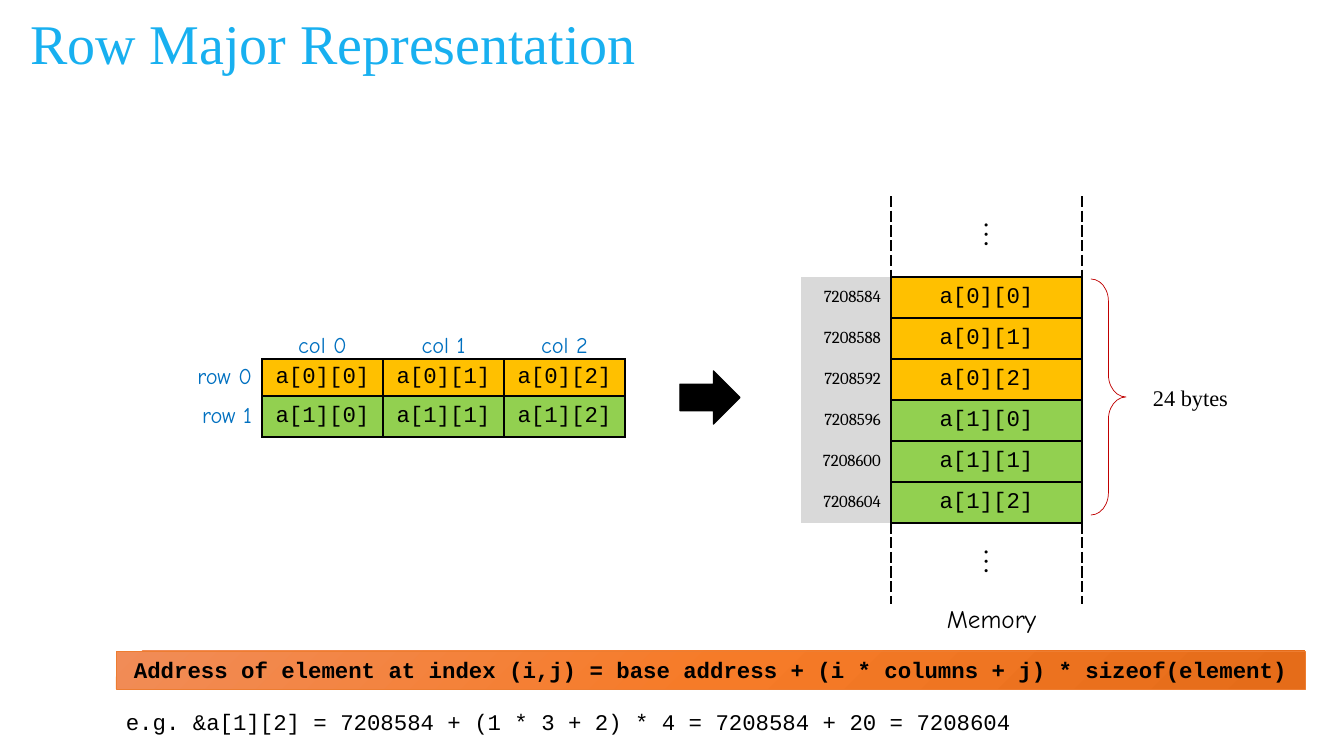
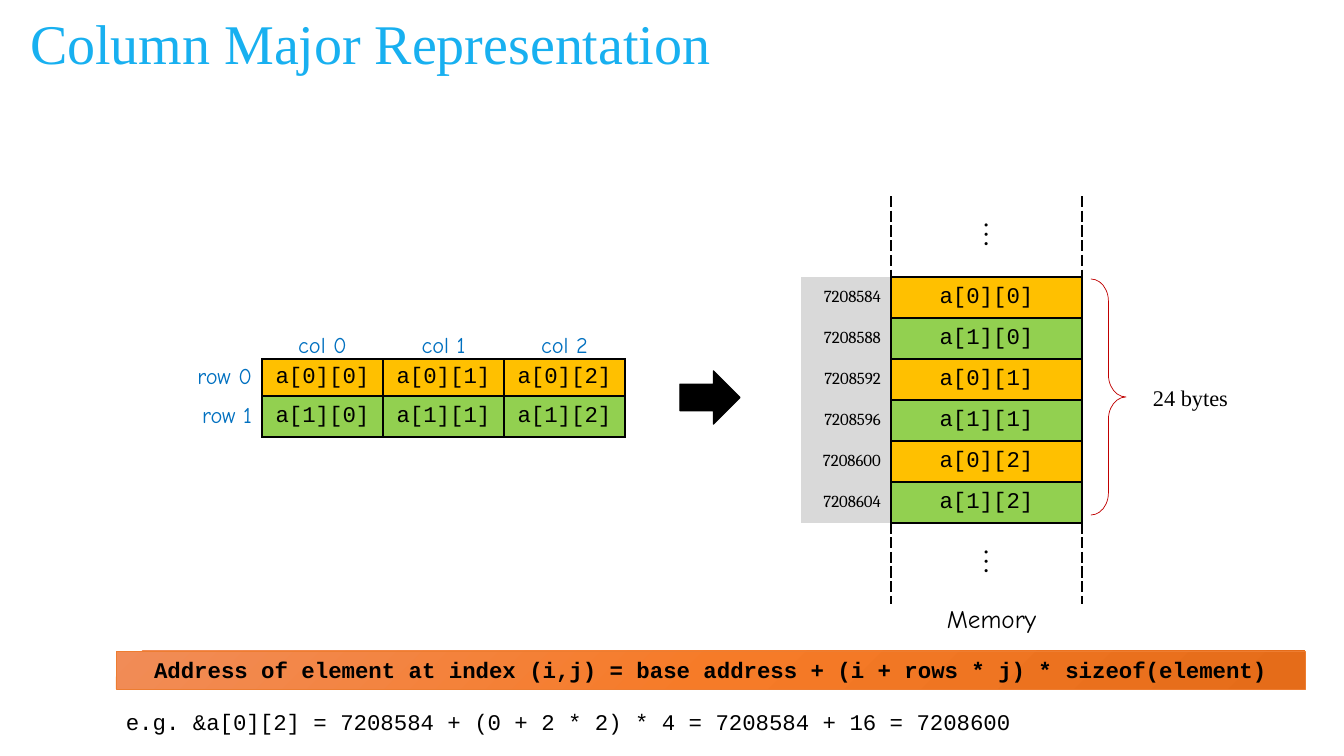
from copy import deepcopy
from dataclasses import dataclass, field

from lxml import etree
from pptx import Presentation
from pptx.dml.color import RGBColor
from pptx.enum.shapes import MSO_SHAPE
from pptx.enum.text import MSO_ANCHOR, MSO_AUTO_SIZE, PP_ALIGN
from pptx.oxml.ns import qn
from pptx.util import Pt

LEFT, MID, RIGHT = PP_ALIGN.LEFT, PP_ALIGN.CENTER, PP_ALIGN.RIGHT
CENTRE, LOW = MSO_ANCHOR.MIDDLE, MSO_ANCHOR.BOTTOM
FIT, FIXED = MSO_AUTO_SIZE.SHAPE_TO_FIT_TEXT, MSO_AUTO_SIZE.NONE
RECT, ARROW, BRACE = MSO_SHAPE.RECTANGLE, MSO_SHAPE.RIGHT_ARROW, MSO_SHAPE.RIGHT_BRACE

ROWS, COLS = 2, 3
BASE, BYTES = 7208584, 4
CELLS = [(i, j) for i in range(ROWS) for j in range(COLS)]

SLIDES = [
    {
        "title": "Row Major Representation",
        "order": CELLS,
        "rule": "Address of element at index (i,j) = base address + (i * columns + j) * sizeof(element)",
        "case": "e.g. &a[1][2] = 7208584 + (1 * 3 + 2) * 4 = 7208584 + 20 = 7208604",
    },
    {
        "title": "Column Major Representation",
        "order": sorted(CELLS, key=lambda cell: cell[1]),
        "rule": "Address of element at index (i,j) = base address + (i + rows * j) * sizeof(element)",
        "case": "e.g. &a[0][2] = 7208584 + (0 + 2 * 2) * 4 = 7208584 + 16 = 7208600",
    },
]

PAGE = (1344, 756)
SPOTS = {
    "title": (20, 13, 1105, 66),
    "memory": (801, 196, 281, 408),
    "array": (141, 322, 484, 115),
    "name": (937, 598, 110, 40),
    "brace": (1091, 279, 35, 236),
    "size": (1143, 379, 100, 37),
    "arrow": (680, 371, 60, 53),
    "rule": (116, 651, 1189, 38),
    "case": (116, 703, 918, 37),
}
MEMORY = {"wide": [90, 191], "high": [81] + [41] * len(CELLS) + [81]}
ARRAY = {"wide": [121] * (COLS + 1), "high": [37, 37, 41]}

PLAIN = "{2D5ABB26-0587-4C30-8999-92F81FD0307C}"
DASHED = {"L": "dash", "R": "dash"}
BOX = dict.fromkeys("LRTB", "solid")


@dataclass
class Theme:
    black: str = "000000"
    grey: str = "D9D9D9"
    red: str = "C00000"
    edge: str = "ED7D31"
    bands: tuple = ("FFC000", "92D050")
    blend: tuple = ((0, "F18C57"), (0.5, "F67B28"), (1, "E56C19"))
    text: dict = field(default_factory=lambda: {
        "title": ("Times New Roman", 40, "18B0F0", False),
        "label": ("Comic Neue", 16, "0070C0", False),
        "name": ("Comic Neue", 18, "000000", False),
        "code": ("Courier New", 16, "000000", False),
        "rule": ("Courier New", 16, "000000", True),
        "size": ("Times New Roman", 16, "000000", False),
        "place": ("Cambria", 12, "000000", False),
        "dots": ("Cambria", 20, "000000", False),
    })


THEME = Theme()


def px(count):
    return round(count * 12192000 / PAGE[0])


def area(name):
    return [px(count) for count in SPOTS[name]]


def tint(code):
    return RGBColor.from_string(code)


def apply(item, **values):
    for key, value in values.items():
        setattr(item, key, value)


def write(frame, text, style, align=LEFT):
    face, size, hue, bold = THEME.text[style]
    para = frame.paragraphs[0]
    para.alignment = align
    run = para.add_run()
    run.text = text
    apply(run.font, name=face, size=Pt(size), bold=bold)
    run.font.color.rgb = tint(hue)
    return para


def note(slide, spot, text, style, wrap):
    frame = slide.shapes.add_textbox(*area(spot)).text_frame
    apply(frame, word_wrap=wrap, auto_size=FIT)
    write(frame, text, style)


def draw(slide, kind, spot, line, width, fill=None):
    shape = slide.shapes.add_shape(kind, *area(spot))
    shape.shadow.inherit = False
    shape.line.color.rgb = tint(line)
    shape.line.width = Pt(width)
    if fill:
        shape.fill.solid()
        shape.fill.fore_color.rgb = tint(fill)
    else:
        shape.fill.background()
    return shape


def border(cell, sides):
    props = cell._tc.get_or_add_tcPr()
    for side in "LRTB":
        line = etree.SubElement(props, qn(f"a:ln{side}"), w=str(Pt(1)))
        if side not in sides:
            etree.SubElement(line, qn("a:noFill"))
            continue
        fill = etree.SubElement(line, qn("a:solidFill"))
        etree.SubElement(fill, qn("a:srgbClr"), val=THEME.black)
        etree.SubElement(line, qn("a:prstDash"), val=sides[side])


def fill_cell(cell, sides, text="", style="code", align=MID, fill=None):
    border(cell, sides)
    cell.vertical_anchor = CENTRE
    if fill:
        cell.fill.solid()
        cell.fill.fore_color.rgb = tint(fill)
    else:
        cell.fill.background()
    if text:
        write(cell.text_frame, text, style, align)


def grid(slide, spot, plan):
    wide, high = plan["wide"], plan["high"]
    table = slide.shapes.add_table(len(high), len(wide), *area(spot)).table
    apply(table, first_row=False, horz_banding=False)
    table._tbl.tblPr.find(qn("a:tableStyleId")).text = PLAIN
    for col, count in zip(table.columns, wide):
        col.width = px(count)
    for row, count in zip(table.rows, high):
        row.height = px(count)
    return table


def entry(cell, i, j):
    fill_cell(cell, BOX, f"a[{i}][{j}]", fill=THEME.bands[i])


def add_memory(slide, order):
    table = grid(slide, "memory", MEMORY)
    for row, side in ((0, "B"), (len(order) + 1, "T")):
        fill_cell(table.cell(row, 0), {"R": "dash"})
        fill_cell(table.cell(row, 1), {**DASHED, side: "solid"}, "⋮", "dots")
    for k, (i, j) in enumerate(order):
        fill_cell(table.cell(k + 1, 0), {"R": "solid"}, str(BASE + BYTES * k),
                  "place", RIGHT, THEME.grey)
        entry(table.cell(k + 1, 1), i, j)


def add_array(slide):
    table = grid(slide, "array", ARRAY)
    for col in range(COLS + 1):
        cell = table.cell(0, col)
        if col:
            fill_cell(cell, {"B": "solid"}, f"col {col - 1}", "label")
        else:
            fill_cell(cell, {})
        apply(cell, vertical_anchor=LOW, margin_left=0, margin_right=0,
              margin_top=0, margin_bottom=0)
    for i in range(ROWS):
        fill_cell(table.cell(i + 1, 0), {"R": "solid"}, f"row {i}", "label", RIGHT)
    for i, j in CELLS:
        entry(table.cell(i + 1, j + 1), i, j)


def add_rule(slide, text):
    bar = draw(slide, RECT, "rule", THEME.edge, 0.5)
    bar.fill.gradient()
    bar.fill.gradient_angle = 315
    first = bar._element.spPr.find(".//" + qn("a:gs"))
    first.addnext(deepcopy(first))
    for stop, (place, hue) in zip(bar.fill.gradient_stops, THEME.blend):
        stop.position = place
        stop.color.rgb = tint(hue)
    apply(bar.text_frame, word_wrap=True, auto_size=FIT, vertical_anchor=CENTRE)
    write(bar.text_frame, text, "rule", MID)


def add_title(slide, text):
    title = slide.shapes.title
    apply(title, **dict(zip(("left", "top", "width", "height"), area("title"))))
    apply(title.text_frame, word_wrap=True, auto_size=FIXED, vertical_anchor=CENTRE)
    write(title.text_frame, text, "title").line_spacing = 0.9


def build(deck, data):
    slide = deck.slides.add_slide(deck.slide_layouts[5])
    add_title(slide, data["title"])
    add_memory(slide, data["order"])
    note(slide, "name", "Memory", "name", False)
    brace = draw(slide, BRACE, "brace", THEME.red, 0.5)
    brace.adjustments[0] = 0.637
    note(slide, "size", f"{len(CELLS) * BYTES} bytes", "size", True)
    add_array(slide)
    draw(slide, ARROW, "arrow", THEME.black, 1, THEME.black)
    add_rule(slide, data["rule"])
    note(slide, "case", data["case"], "code", False)


def main():
    deck = Presentation()
    apply(deck, slide_width=px(PAGE[0]), slide_height=px(PAGE[1]))
    for data in SLIDES:
        build(deck, data)
    deck.save("out.pptx")


if __name__ == "__main__":
    main()
